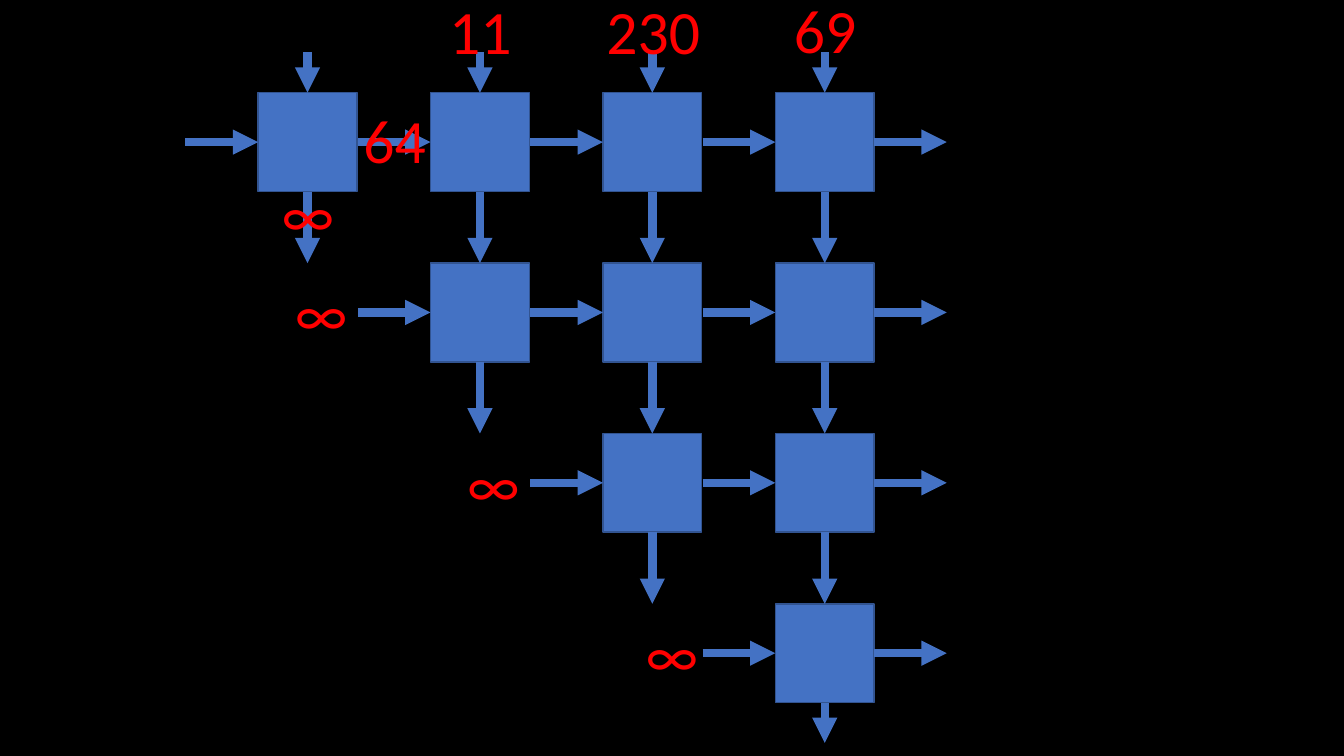
from dataclasses import dataclass

from lxml import etree
from pptx import Presentation
from pptx.dml.color import RGBColor
from pptx.enum.shapes import MSO_CONNECTOR, MSO_SHAPE
from pptx.enum.text import MSO_ANCHOR, MSO_AUTO_SIZE, PP_ALIGN
from pptx.oxml.ns import qn
from pptx.slide import Slide
from pptx.util import Inches, Pt

RECTANGLE = MSO_SHAPE.RECTANGLE
STRAIGHT = MSO_CONNECTOR.STRAIGHT
CENTER = PP_ALIGN.CENTER
TOP = MSO_ANCHOR.TOP
FIT_SHAPE = MSO_AUTO_SIZE.SHAPE_TO_FIT_TEXT

BLACK = RGBColor(0x00, 0x00, 0x00)
BLUE = RGBColor(0x44, 0x72, 0xC4)
DARK_BLUE = RGBColor(0x32, 0x54, 0x91)
RED = RGBColor(0xFF, 0x00, 0x00)

# Triangular array geometry, in inches
ARRAY_SIZE = 4
ARRAY_LEFT, ARRAY_TOP = 2.56, 0.92
COLUMN_PITCH, ROW_PITCH = 1.71, 1.69
CELL_SIZE = 0.98
ARROW_WIDTH, ARROW_HEIGHT = 0.72, 0.71
EDGE_ARROW_HEIGHT = 0.4  # above the first row and below the last


@dataclass(frozen=True)
class Cell:
    row: int
    column: int

    @property
    def left(self) -> float:
        return ARRAY_LEFT + self.column * COLUMN_PITCH

    @property
    def top(self) -> float:
        return ARRAY_TOP + self.row * ROW_PITCH

    @property
    def right(self) -> float:
        return self.left + CELL_SIZE

    @property
    def bottom(self) -> float:
        return self.top + CELL_SIZE

    @property
    def center_x(self) -> float:
        return self.left + CELL_SIZE / 2

    @property
    def center_y(self) -> float:
        return self.top + CELL_SIZE / 2


@dataclass(frozen=True)
class Value:
    text: str
    left: float
    top: float
    width: float


VALUES = [
    Value("230", 5.91, -0.12, 1.14),
    Value("11", 4.35, -0.12, 0.83),
    Value("64", 3.5, 0.96, 0.83),
    Value("69", 7.77, -0.13, 0.83),
    Value("∞", 2.69, 1.7, 0.73),
    Value("∞", 2.82, 2.68, 0.73),
    Value("∞", 4.53, 4.37, 0.73),
    Value("∞", 6.3, 6.06, 0.73),
]


def add_arrow(slide: Slide, x1: float, y1: float, x2: float, y2: float) -> None:
    arrow = slide.shapes.add_connector(
        STRAIGHT, Inches(x1), Inches(y1), Inches(x2), Inches(y2))
    arrow.line.color.rgb = BLUE
    arrow.line.width = Pt(6)
    line_xml = arrow.line._get_or_add_ln()
    etree.SubElement(line_xml, qn("a:tailEnd"), type="triangle")
    etree.SubElement(arrow._element.spPr, qn("a:effectLst"))


def add_cell(slide: Slide, cell: Cell) -> None:
    square = slide.shapes.add_shape(
        RECTANGLE, Inches(cell.left), Inches(cell.top),
        Inches(CELL_SIZE), Inches(CELL_SIZE))
    square.shadow.inherit = False
    square.fill.solid()
    square.fill.fore_color.rgb = BLUE
    square.line.color.rgb = DARK_BLUE
    square.line.width = Pt(1)

    # Arrows entering from above and from the left
    rise = ARROW_HEIGHT if cell.row else EDGE_ARROW_HEIGHT
    add_arrow(slide, cell.center_x, cell.top - rise, cell.center_x, cell.top)
    add_arrow(slide, cell.left - ARROW_WIDTH, cell.center_y,
              cell.left, cell.center_y)

    # Arrows leaving the array: right edge and diagonal
    if cell.column == ARRAY_SIZE - 1:
        add_arrow(slide, cell.right, cell.center_y,
                  cell.right + ARROW_WIDTH, cell.center_y)
    if cell.row == cell.column:
        last = cell.row == ARRAY_SIZE - 1
        drop = EDGE_ARROW_HEIGHT if last else ARROW_HEIGHT
        add_arrow(slide, cell.center_x, cell.bottom,
                  cell.center_x, cell.bottom + drop)


def add_text(slide: Slide, text: str, *, left: float, top: float, width: float,
             height: float = 0.84, size: float = 44, font: str = "Calibri",
             color: RGBColor = RED) -> None:
    box = slide.shapes.add_textbox(
        Inches(left), Inches(top), Inches(width), Inches(height))
    frame = box.text_frame
    frame.word_wrap = False
    frame.auto_size = FIT_SHAPE
    frame.vertical_anchor = TOP
    paragraph = frame.paragraphs[0]
    paragraph.alignment = CENTER
    run = paragraph.add_run()
    run.text = text
    run.font.size = Pt(size)
    run.font.name = font
    run.font.color.rgb = color


def main() -> None:
    presentation = Presentation()
    presentation.slide_width = Inches(13.33)
    presentation.slide_height = Inches(7.5)
    slide = presentation.slides.add_slide(presentation.slide_layouts[6])
    slide.background.fill.solid()
    slide.background.fill.fore_color.rgb = BLACK

    # Upper triangle of cells with their arrows
    for column in range(ARRAY_SIZE):
        for row in range(column + 1):
            add_cell(slide, Cell(row, column))

    # Values on top of the array
    for value in VALUES:
        add_text(slide, value.text, left=value.left, top=value.top,
                 width=value.width)

    presentation.save("out.pptx")


if __name__ == "__main__":
    main()
